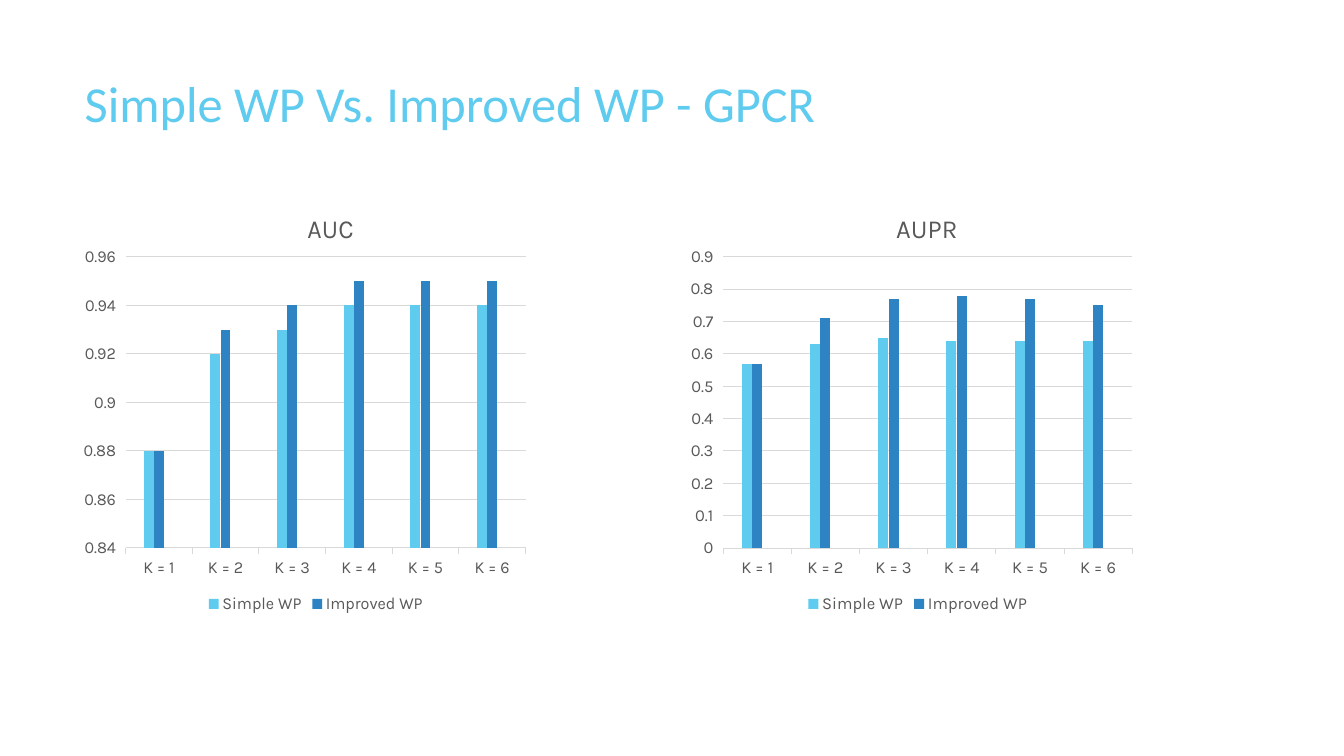
"""Build a slide comparing simple and improved WP on the GPCR data."""
from dataclasses import dataclass
from typing import Any

from lxml import etree
from pptx import Presentation
from pptx import util as u
from pptx.chart import data as chart_data
from pptx.dml import color
from pptx.enum import chart as charts, text
from pptx.oxml import ns

COLOURS = {"sky": "5FCBEF", "blue": "2E83C3", "green": "42D0A2",
           "grey": "595959", "rule": "D9D9D9"}
SERIES_COLOURS = {"Simple WP": "sky", "Improved WP": "blue", "Series 3": "green"}
CATEGORIES = [f"K = {k}" for k in range(1, 7)]


@dataclass(frozen=True)
class Panel:
    """One metric chart."""
    title: str
    left: float
    title_x: float
    axis: dict[str, float]
    simple: tuple[float, ...]
    improved: tuple[float, ...]


PANELS = (
    Panel("AUC", 59.76, 0.47,
          {"minimum_scale": 0.84, "maximum_scale": 0.96, "major_unit": 0.02},
          (0.88, 0.92, 0.93, 0.94, 0.94, 0.94), (0.88, 0.93, 0.94, 0.95, 0.95, 0.95)),
    Panel("AUPR", 493.2, 0.44,
          {"minimum_scale": 0, "maximum_scale": 0.9, "major_unit": 0.1},
          (0.57, 0.63, 0.65, 0.64, 0.64, 0.64), (0.57, 0.71, 0.77, 0.78, 0.77, 0.75)),
)


def rgb(name: str) -> color.RGBColor:
    """Return a named colour."""
    return color.RGBColor.from_string(COLOURS[name])


def apply(target: Any, values: dict[str, Any]) -> None:
    """Set every attribute in values on the target."""
    for name, value in values.items():
        setattr(target, name, value)


def style_font(font: Any, name: str, size: float, colour: str) -> None:
    """Format a font."""
    apply(font, {"name": name, "size": u.Pt(size), "bold": False})
    font.color.rgb = rgb(colour)


def style_line(line: Any) -> None:
    """Draw a thin grey rule."""
    line.color.rgb = rgb("rule")
    line.width = u.Pt(0.75)


def make_layout(values: dict[str, Any]) -> etree._Element:
    """Return a manual chart layout."""
    layout = etree.Element(ns.qn("c:layout"))
    manual = etree.SubElement(layout, ns.qn("c:manualLayout"))
    for name, value in values.items():
        etree.SubElement(manual, ns.qn(f"c:{name}")).set("val", str(value))
    return layout


def place_parts(chart: Any, panel: Panel) -> None:
    """Position the title and plot and hide the empty series in the legend."""
    root = chart.element.find(ns.qn("c:chart"))
    title, plot, legend = (root.find(ns.qn(f"c:{part}"))
                           for part in ("title", "plotArea", "legend"))
    for part in (title, plot):
        for layout in part.findall(ns.qn("c:layout")):
            part.remove(layout)
    title.find(ns.qn("c:tx")).addnext(make_layout(
        {"xMode": "edge", "yMode": "edge", "x": panel.title_x, "y": 0.05}))
    plot.insert(0, make_layout(
        {"layoutTarget": "inner", "xMode": "edge", "yMode": "edge",
         "x": 0.058, "y": 0.167, "w": 0.929, "h": 0.672}))
    entry = etree.Element(ns.qn("c:legendEntry"))
    for name, value in {"idx": "2", "delete": "1"}.items():
        etree.SubElement(entry, ns.qn(f"c:{name}")).set("val", value)
    legend.find(ns.qn("c:legendPos")).addnext(entry)


def add_panel(page: Any, panel: Panel) -> None:
    """Add one clustered column chart."""
    data = chart_data.CategoryChartData()
    data.categories = CATEGORIES
    empty = (None,) * len(CATEGORIES)
    for name, values in zip(SERIES_COLOURS, (panel.simple, panel.improved, empty)):
        data.add_series(name, values)
    chart = page.shapes.add_chart(
        charts.XL_CHART_TYPE.COLUMN_CLUSTERED, u.Pt(panel.left), u.Pt(131.76),
        u.Pt(319.68), u.Pt(309.6), data).chart
    style_font(chart.font, "Karla", 10, "grey")

    chart.has_title = True
    chart.chart_title.include_in_layout = False
    paragraph = chart.chart_title.text_frame.paragraphs[0]
    span = paragraph.add_run()
    span.text = panel.title
    style_font(span.font, "Karla", 18.6, "grey")

    chart.has_legend = True
    apply(chart.legend, {"position": charts.XL_LEGEND_POSITION.BOTTOM,
                         "include_in_layout": False})
    style_font(chart.legend.font, "Karla", 12, "grey")

    plot = chart.plots[0]
    apply(plot, {"gap_width": 372, "overlap": -3, "vary_by_categories": False})
    for series in plot.series:
        series.format.fill.solid()
        series.format.fill.fore_color.rgb = rgb(SERIES_COLOURS[series.name])

    for axis in (chart.category_axis, chart.value_axis):
        style_font(axis.tick_labels.font, "Karla", 12, "grey")
    style_line(chart.category_axis.format.line)
    apply(chart.value_axis, {**panel.axis, "has_major_gridlines": True})
    apply(chart.value_axis.tick_labels,
          {"number_format": "General", "number_format_is_linked": False})
    chart.value_axis.format.line.fill.background()
    style_line(chart.value_axis.major_gridlines.format.line)
    place_parts(chart, panel)


def add_title(page: Any, words: str) -> None:
    """Fill and place the title placeholder."""
    box = page.shapes.title
    apply(box, {"left": u.Pt(53.28), "top": u.Pt(48.24),
                "width": u.Pt(676.8), "height": u.Pt(103.68)})
    apply(box.text_frame, {"text": words, "word_wrap": True,
                           "auto_size": text.MSO_AUTO_SIZE.NONE,
                           "vertical_anchor": text.MSO_ANCHOR.TOP})
    paragraph = box.text_frame.paragraphs[0]
    paragraph.alignment = text.PP_ALIGN.LEFT
    style_font(paragraph.runs[0].font, "Calibri", 36, "sky")


def main() -> None:
    """Build and save the deck."""
    deck = Presentation()
    apply(deck, {"slide_width": u.Pt(960), "slide_height": u.Pt(540)})
    page = deck.slides.add_slide(deck.slide_layouts.get_by_name("Title Only"))
    add_title(page, "Simple WP Vs. Improved WP - GPCR")
    for panel in PANELS:
        add_panel(page, panel)
    deck.save("out.pptx")


if __name__ == "__main__":
    main()
